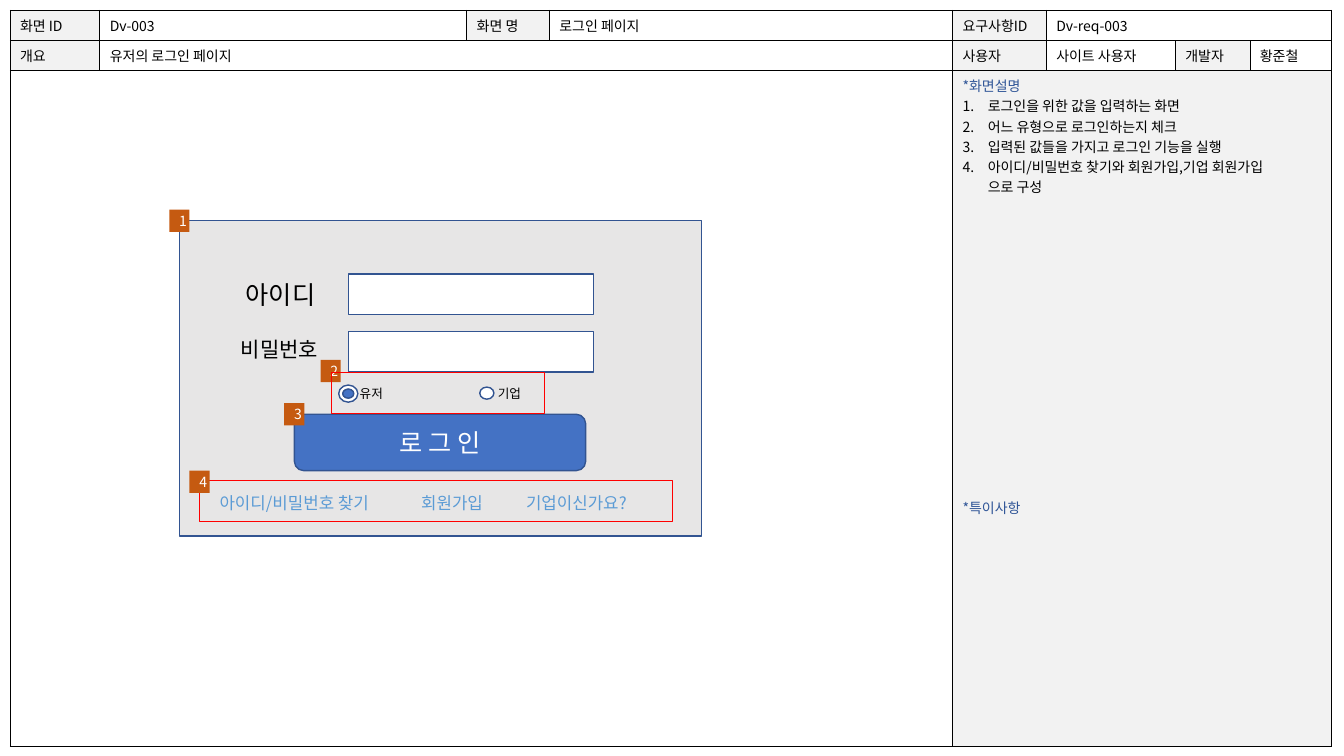
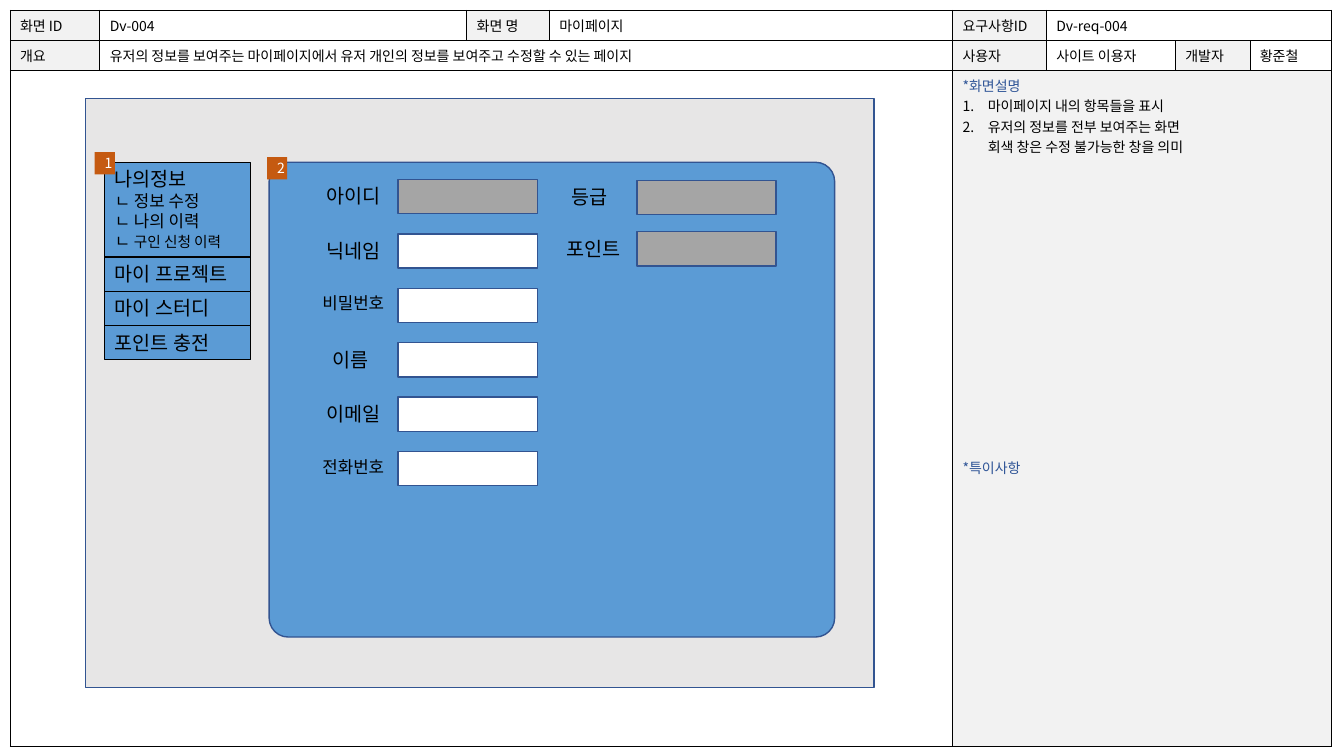
"""Build two screen-design sheets: a login page and a personal page."""
import copy
import dataclasses

import pptx
import pptx.dml.color
import pptx.enum.shapes
import pptx.enum.text
import pptx.oxml
import pptx.oxml.ns
import pptx.util

SHAPE = pptx.enum.shapes.MSO_SHAPE
ALIGN = pptx.enum.text.PP_ALIGN
ANCHOR = pptx.enum.text.MSO_ANCHOR


@dataclasses.dataclass(frozen=True)
class Theme:
    font: str = "Noto Sans CJK KR"
    ink: str = "000000"
    white: str = "FFFFFF"
    pale: str = "F2F2F2"
    panel: str = "E7E6E6"
    mute: str = "A5A5A5"
    edge: str = "325491"
    head: str = "2F5597"
    blue: str = "4472C4"
    sky: str = "5B9BD5"
    tag: str = "C55A11"
    red: str = "FF0000"
    tiny: float = 9
    small: float = 10
    sub: float = 10.5
    base: float = 12
    large: float = 14
    wide: float = 15
    huge: float = 18


THEME = Theme()


def unit(count):
    return pptx.util.Inches(count / 10)


def tint(code):
    return pptx.dml.color.RGBColor.from_string(code)


def write(frame, text, size=THEME.small, color=THEME.ink, align=None,
          gap=0, num=False, join=False):
    para = frame.paragraphs[-1]
    if para.runs and not join:
        para = frame.add_paragraph()
    if align is not None:
        para.alignment = align
    if gap:
        para.space_before = pptx.util.Pt(gap)
    if num:
        props = para._p.get_or_add_pPr()
        props.set("marL", str(unit(2.5)))
        props.set("indent", str(-unit(2.5)))
        mark = pptx.oxml.ns.qn("a:buAutoNum")
        props.append(props.makeelement(mark, {"type": "arabicPeriod"}))
    for turn, part in enumerate(text.split("\n")):
        if turn:
            para.add_line_break()
            para._p[-1].append(copy.deepcopy(style))
        run = para.add_run()
        run.text = part
        run.font.size = pptx.util.Pt(size)
        run.font.color.rgb = tint(color)
        run.font.name = THEME.font
        style = run._r.get_or_add_rPr()
        asian = pptx.oxml.ns.qn("a:ea")
        style.append(style.makeelement(asian, {"typeface": THEME.font}))


class Sheet:
    def __init__(self, deck):
        self.slide = deck.slides.add_slide(deck.slide_layouts[6])

    def shape(self, left, top, width, height, kind=SHAPE.RECTANGLE,
              fill=None, line=THEME.edge, weight=1, curve=None):
        item = self.slide.shapes.add_shape(
            kind, *map(unit, (left, top, width, height)))
        item.shadow.inherit = False
        if fill:
            item.fill.solid()
            item.fill.fore_color.rgb = tint(fill)
        else:
            item.fill.background()
        if line:
            item.line.color.rgb = tint(line)
            item.line.width = pptx.util.Pt(weight)
        else:
            item.line.fill.background()
        if curve is not None:
            item.adjustments[0] = curve
        return item.text_frame

    def label(self, text, left, top, width, height, **form):
        box = self.slide.shapes.add_textbox(
            *map(unit, (left, top, width, height)))
        box.text_frame.word_wrap = True
        write(box.text_frame, text, **form)

    def badge(self, text, left, top):
        frame = self.shape(left - 1, top - 1.1, 2, 2.2,
                           fill=THEME.tag, line=None)
        frame.vertical_anchor = ANCHOR.MIDDLE
        write(frame, text, color=THEME.white, align=ALIGN.CENTER)

    def outline(self, left, top, width):
        self.shape(left, top, width, 4, line=THEME.red, weight=0.75)

    def menu(self, top, height, text):
        frame = self.shape(10.4, top, 14.5, height, fill=THEME.sky,
                           line=THEME.ink, weight=0.75)
        frame.vertical_anchor = ANCHOR.TOP
        write(frame, text, size=THEME.large, align=ALIGN.LEFT)
        return frame

    def border(self, cell):
        props = cell._tc.get_or_add_tcPr()
        for side in "LRTB":
            props.append(pptx.oxml.parse_xml(
                f'<a:ln{side} {pptx.oxml.ns.nsdecls("a")} w="6350">'
                f'<a:solidFill><a:srgbClr val="{THEME.ink}"/></a:solidFill>'
                f'</a:ln{side}>'))

    def table(self, code, name, about, user, notes):
        cols = (8.9, 36.4, 8.2, 40, 9.3, 12.8, 7.4, 8.1)
        rows = (3, 3, 67)
        table = self.slide.shapes.add_table(
            len(rows), len(cols), unit(1), unit(1),
            unit(sum(cols)), unit(sum(rows))).table
        table.first_row = table.horz_banding = False
        for col, width in zip(table.columns, cols):
            col.width = unit(width)
        for row, height in zip(table.rows, rows):
            row.height = unit(height)
        texts = (
            ("화면 ID", f"Dv-{code}", "화면 명", name,
             "요구사항ID", f"Dv-req-{code}", "", ""),
            ("개요", about, "", "", "사용자", user, "개발자", "황준철"),
            ("",) * len(cols),
        )
        for y, line in enumerate(texts):
            for x, text in enumerate(line):
                cell = table.cell(y, x)
                self.border(cell)
                shade = x % 2 == 0 if y < 2 else x >= 4
                cell.fill.solid()
                cell.fill.fore_color.rgb = tint(
                    THEME.pale if shade else THEME.white)
                if text:
                    write(cell.text_frame, text)
        for y, first, last in ((0, 5, 7), (1, 1, 3), (2, 0, 3), (2, 4, 7)):
            table.cell(y, first).merge(table.cell(y, last))
        frame = table.cell(2, 4).text_frame
        write(frame, "*화면설명", color=THEME.head)
        for note in notes:
            write(frame, note, num=True)
        write(frame, "*특이사항", color=THEME.head, gap=215)


def login(deck):
    page = Sheet(deck)
    page.table("003", "로그인 페이지", "유저의 로그인 페이지", "사이트 사용자", (
        "로그인을 위한 값을 입력하는 화면",
        "어느 유형으로 로그인하는지 체크",
        "입력된 값들을 가지고 로그인 기능을 실행",
        "아이디/비밀번호 찾기와 회원가입,기업 회원가입\n으로 구성"))
    page.shape(17.8, 21.9, 51.8, 31.3, fill=THEME.panel)
    for text, left, top, size in (("아이디", 23.4, 27.2, THEME.huge),
                                  ("비밀번호", 22.9, 32.9, THEME.wide)):
        page.label(text, left, top, 10.6, 4, size=size)
        page.shape(34.6, top, 24.3, 4, fill=THEME.white)
    frame = page.shape(29.2, 41.1, 28.9, 5.6, SHAPE.ROUNDED_RECTANGLE,
                       fill=THEME.blue)
    frame.vertical_anchor = ANCHOR.MIDDLE
    write(frame, "로 그 인", size=THEME.huge, color=THEME.white,
          align=ALIGN.CENTER)
    for text, left, width in (("아이디/비밀번호 찾기", 20.8, 18.4),
                              ("회원가입", 40.8, 8.8),
                              ("기업이신가요?", 51.2, 12.9)):
        page.label(text, left, 48.4, width, 3,
                   size=THEME.base, color=THEME.sky)
    page.shape(33.6, 38.2, 1.9, 1.7, SHAPE.DONUT, fill=THEME.white)
    page.shape(34, 38.6, 1.1, 0.9, SHAPE.OVAL, fill=THEME.blue)
    page.shape(47.6, 38.4, 1.4, 1.2, SHAPE.OVAL, fill=THEME.white)
    for text, left in (("유저", 34.7), ("기업", 48.4)):
        page.label(text, left, 37.75, 4.5, 2.5, size=THEME.tiny)
    page.badge("1", 17.8, 21.9)
    page.badge("2", 32.8, 36.8)
    page.outline(32.9, 37, 21.1)
    page.badge("3", 29.2, 41.1)
    page.outline(19.8, 47.7, 46.9)
    page.badge("4", 19.8, 47.8)


def person(deck):
    page = Sheet(deck)
    page.table("004", "마이페이지",
               "유저의 정보를 보여주는 마이페이지에서 유저 개인의 정보를 "
               "보여주고 수정할 수 있는 페이지", "사이트 이용자", (
                   "마이페이지 내의 항목들을 표시",
                   "유저의 정보를 전부 보여주는 화면\n"
                   "회색 창은 수정 불가능한 창을 의미"))
    page.shape(8.5, 9.8, 78.2, 58.4, fill=THEME.panel)
    frame = page.menu(16.1, 9.4, "나의정보")
    for text in ("ㄴ 정보 수정", "ㄴ 나의 이력", "ㄴ "):
        write(frame, text, size=THEME.base, align=ALIGN.LEFT)
    write(frame, "구인 신청 이력", size=THEME.sub, join=True)
    for turn, text in enumerate(("마이 프로젝트", "마이 스터디", "포인트 충전")):
        page.menu(25.5 + 3.4 * turn, 3.4, text)
    page.shape(26.7, 16.1, 56.1, 47.1, SHAPE.ROUNDED_RECTANGLE,
               fill=THEME.sky, curve=0.04)
    groups = (
        (39.5, 17.8, 5.4, (("아이디", 31.4), ("닉네임", 31.4),
                           ("비밀번호", 31), ("이름", 32),
                           ("이메일", 31.4), ("전화번호", 31))),
        (63.2, 17.9, 5.1, (("등급", 55.7), ("포인트", 55.2))),
    )
    locked = ("아이디", "등급", "포인트")
    for left, top, pitch, fields in groups:
        for turn, (text, start) in enumerate(fields):
            line = top + pitch * turn
            size = THEME.base if len(text) > 3 else THEME.large
            page.label(text, start, line, 9.1, 3.4, size=size)
            page.shape(left, line, 13.8, 3.4,
                       fill=THEME.mute if text in locked else THEME.white)
    page.badge("1", 10.4, 16.2)
    page.badge("2", 27.5, 16.7)


def main():
    deck = pptx.Presentation()
    deck.slide_width = unit(133.33)
    deck.slide_height = unit(75)
    login(deck)
    person(deck)
    deck.save("out.pptx")


if __name__ == "__main__":
    main()
